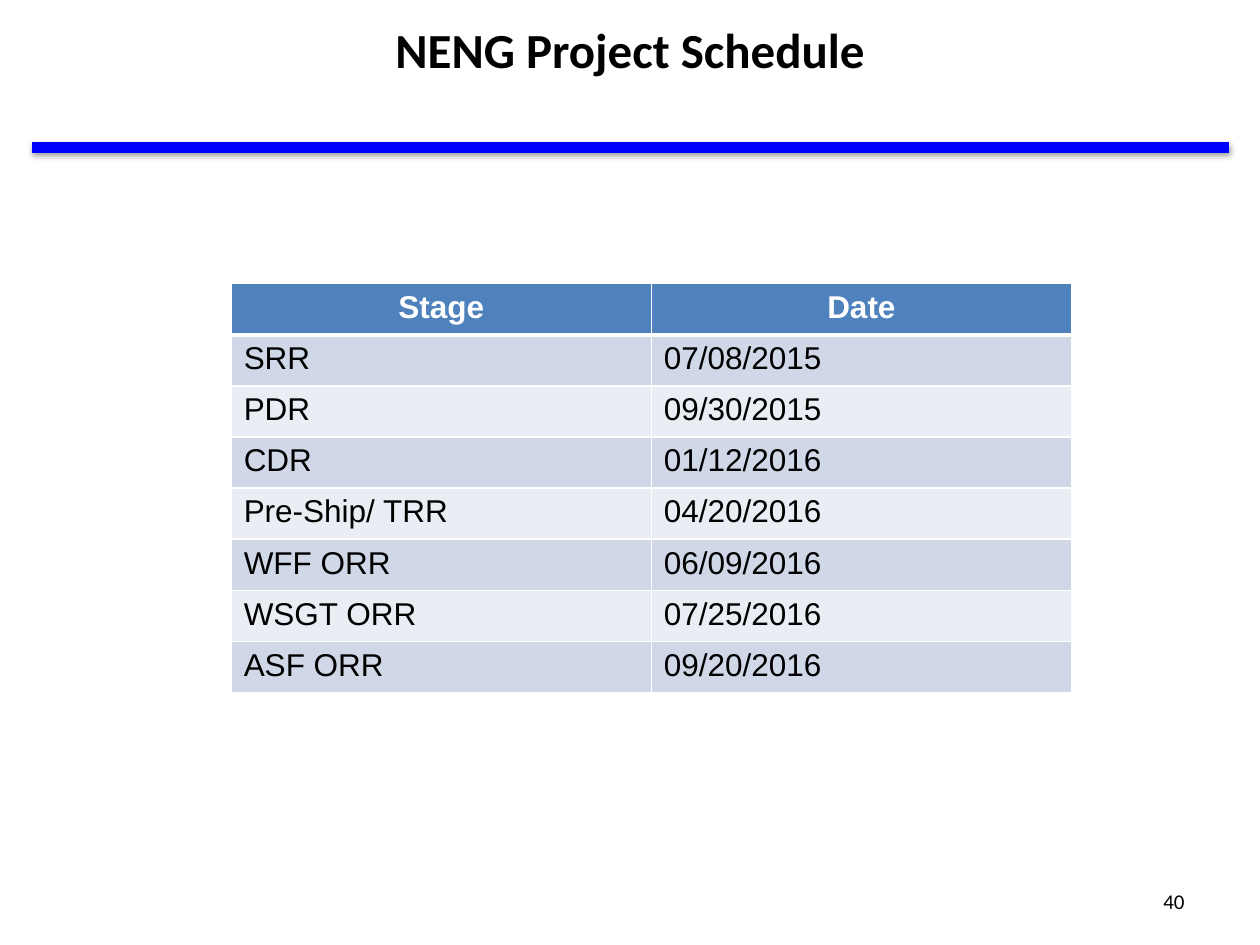
from lxml import etree
from pptx import Presentation
from pptx.dml.color import RGBColor
from pptx.enum.shapes import MSO_CONNECTOR
from pptx.enum.text import MSO_ANCHOR, PP_ALIGN
from pptx.oxml import parse_xml
from pptx.oxml.ns import nsdecls
from pptx.util import Cm, Pt

LEFT, CENTER, RIGHT = PP_ALIGN.LEFT, PP_ALIGN.CENTER, PP_ALIGN.RIGHT
MIDDLE = MSO_ANCHOR.MIDDLE
STRAIGHT = MSO_CONNECTOR.STRAIGHT

BLACK = RGBColor(0x00, 0x00, 0x00)
WHITE = RGBColor(0xFF, 0xFF, 0xFF)
RULE_BLUE = RGBColor(0x00, 0x00, 0xFF)
HEADER_BLUE = RGBColor(0x4F, 0x81, 0xBD)
ROW_BANDS = (RGBColor(0xD0, 0xD8, 0xE8), RGBColor(0xE9, 0xED, 0xF4))

# Content
TITLE = "NENG Project Schedule"
PAGE_NUMBER = "40"
SCHEDULE = [
    ("Stage", "Date"),
    ("SRR", "07/08/2015"),
    ("PDR", "09/30/2015"),
    ("CDR", "01/12/2016"),
    ("Pre-Ship/ TRR", "04/20/2016"),
    ("WFF ORR", "06/09/2016"),
    ("WSGT ORR", "07/25/2016"),
    ("ASF ORR", "09/20/2016"),
]
COLUMN_WIDTH, ROW_HEIGHT = Cm(8.47), Cm(1.03)


def write(frame, text, *, size, font="Arial", color=BLACK, bold=False, align=LEFT):
    paragraph = frame.paragraphs[0]
    paragraph.alignment = align
    run = paragraph.add_run()
    run.text = text
    run.font.name = font
    run.font.size = Pt(size)
    run.font.bold = bold
    run.font.color.rgb = color


def add_label(slide, text, left, top, width, height, **text_format):
    frame = slide.shapes.add_textbox(left, top, width, height).text_frame
    frame.word_wrap = True
    frame.vertical_anchor = MIDDLE
    write(frame, text, **text_format)


def add_borders(cell, bottom):
    properties = cell._tc.get_or_add_tcPr()
    for side, width in (("L", 1), ("R", 1), ("T", 1), ("B", bottom)):
        properties.append(parse_xml(
            f'<a:ln{side} {nsdecls("a")} w="{Pt(width)}"><a:solidFill>'
            f'<a:srgbClr val="{WHITE}"/></a:solidFill></a:ln{side}>'))


def add_shadow(connector):
    effects = parse_xml(
        f'<a:effectLst {nsdecls("a")}><a:outerShdw blurRad="{Pt(3.1)}" '
        f'dist="{Pt(1.6)}" dir="5400000" rotWithShape="0"/></a:effectLst>')
    color = etree.SubElement(effects[0], effects[0].tag.replace("outerShdw", "srgbClr"),
                             val=str(BLACK))
    etree.SubElement(color, color.tag.replace("srgbClr", "alpha"), val="38000")
    connector._element.spPr.append(effects)


def main():
    deck = Presentation()
    deck.slide_width, deck.slide_height = Cm(25.4), Cm(19.05)
    slide = deck.slides.add_slide(deck.slide_layouts[6])

    # Rule under the title
    rule = slide.shapes.add_connector(STRAIGHT, Cm(0.64), Cm(2.97), Cm(24.77), Cm(2.97))
    rule.line.color.rgb = RULE_BLUE
    rule.line.width = Pt(6)
    add_shadow(rule)

    # Title and page number
    add_label(slide, TITLE, Cm(5.18), Cm(0.23), Cm(15.04), Cm(1.5),
              size=28, font="Calibri", bold=True, align=CENTER)
    add_label(slide, PAGE_NUMBER, Cm(18.21), Cm(17.65), Cm(5.92), Cm(1.02),
              size=12, font="Calibri", align=RIGHT)

    # Schedule table
    rows, columns = len(SCHEDULE), len(SCHEDULE[0])
    table = slide.shapes.add_table(rows, columns, Cm(4.66), Cm(5.72),
                                   COLUMN_WIDTH * columns, ROW_HEIGHT * rows).table
    for r, entries in enumerate(SCHEDULE):
        header = r == 0
        for c, entry in enumerate(entries):
            cell = table.cell(r, c)
            add_borders(cell, bottom=3 if header else 1)
            cell.fill.solid()
            cell.fill.fore_color.rgb = HEADER_BLUE if header else ROW_BANDS[(r - 1) % 2]
            write(cell.text_frame, entry, size=18, bold=header,
                  color=WHITE if header else BLACK, align=CENTER if header else LEFT)

    deck.save("out.pptx")


if __name__ == "__main__":
    main()
